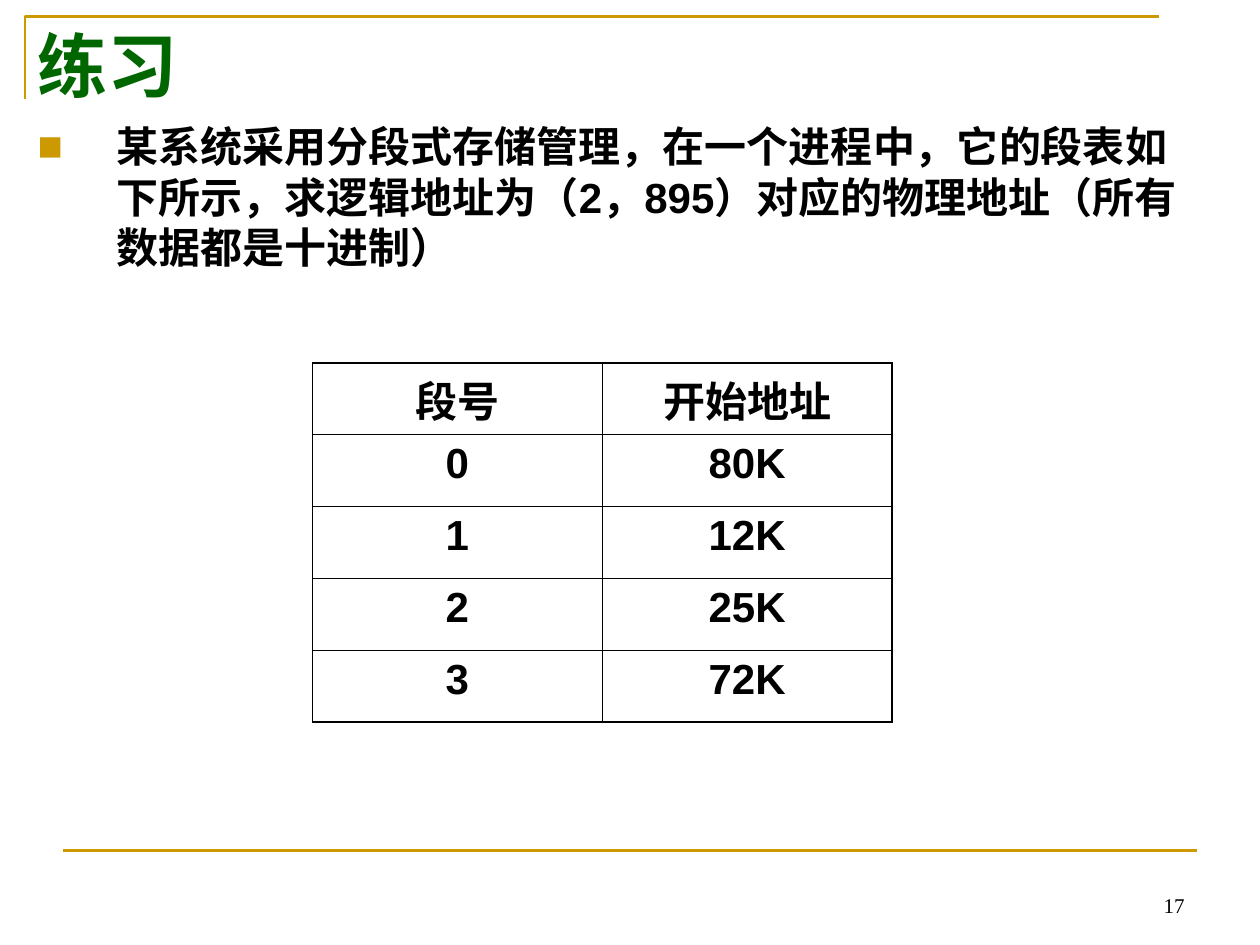
from lxml import etree
from pptx import Presentation
from pptx.dml.color import RGBColor
from pptx.enum import shapes, text
from pptx.oxml import ns
from pptx.util import Inches, Pt

GOLD = "CC9900"
BLACK = "000000"


def rgb(value):
    return RGBColor.from_string(value)


def write(tf, content, size, font, color, bold, align):
    tf.word_wrap = True
    p = tf.paragraphs[0]
    p.text = content
    p.alignment = align
    f = p.runs[0].font
    f.size, f.name, f.bold = Pt(size), font, bold
    f.color.rgb = rgb(color)
    return p


prs = Presentation()
prs.slide_width, prs.slide_height = Inches(10), Inches(7.5)
s = prs.slides.add_slide(prs.slide_layouts[6])

fb = s.shapes.build_freeform(Inches(0.2), Inches(0.79))
fb.add_line_segments([(Inches(0.2), Inches(0.13)), (Inches(9.2), Inches(0.13))], close=False)
corner = fb.convert_to_shape()
corner.fill.background()
corner.shadow.inherit = False
rule = s.shapes.add_connector(
    shapes.MSO_CONNECTOR.STRAIGHT, Inches(0.5), Inches(6.75), Inches(9.5), Inches(6.75)
)
etree.SubElement(rule._element.spPr, ns.qn("a:effectLst"))
for sp in (corner, rule):
    sp.line.color.rgb = rgb(GOLD)
    sp.line.width = Pt(1.5)

number = s.shapes.add_textbox(Inches(7.17), Inches(6.83), Inches(2.33), Inches(0.5))
number.text_frame.vertical_anchor = text.MSO_ANCHOR.BOTTOM
write(number.text_frame, "17", 12, "Times New Roman", BLACK, False, text.PP_ALIGN.RIGHT)

title = s.shapes.add_textbox(Inches(0.2), Inches(0.13), Inches(9), Inches(0.71))
write(title.text_frame, "练习", 40, "Times New Roman", "006600", True, text.PP_ALIGN.LEFT)

body = s.shapes.add_textbox(Inches(0.2), Inches(0.91), Inches(9.29), Inches(1.65))
question = (
    "某系统采用分段式存储管理，在一个进程中，它的段表如下所示，"
    "求逻辑地址为（2，895）对应的物理地址（所有数据都是十进制）"
)
p = write(body.text_frame, question, 24, "Arial", BLACK, True, text.PP_ALIGN.LEFT)
p.space_before = Pt(6)
pPr = p._p.get_or_add_pPr()
pPr.set("marL", str(Inches(0.63)))
pPr.set("indent", str(-Inches(0.63)))
bullet_color = etree.SubElement(pPr, ns.qn("a:buClr"))
etree.SubElement(bullet_color, ns.qn("a:srgbClr"), val=GOLD)
etree.SubElement(pPr, ns.qn("a:buFont"), typeface="Arial")
etree.SubElement(pPr, ns.qn("a:buChar"), char="■")

rows = [("段号", "开始地址"), ("0", "80K"), ("1", "12K"), ("2", "25K"), ("3", "72K")]
table = s.shapes.add_table(
    len(rows), 2, Inches(2.48), Inches(2.88), Inches(4.6), Inches(2.85)
).table
table.first_row = table.horz_banding = False
for row in table.rows:
    row.height = Inches(0.57)
for i, values in enumerate(rows):
    for j, value in enumerate(values):
        cell = table.cell(i, j)
        p = write(cell.text_frame, value, 24, "Arial", BLACK, True, text.PP_ALIGN.CENTER)
        p.space_before = Pt(6)
        outer = {"L": j == 0, "R": j == 1, "T": i == 0, "B": i == len(rows) - 1}
        tcPr = cell._tc.get_or_add_tcPr()
        for side, is_outer in outer.items():
            width = Pt(1.08 if is_outer else 0.45)
            ln = etree.SubElement(tcPr, ns.qn(f"a:ln{side}"), w=str(width))
            fill = etree.SubElement(ln, ns.qn("a:solidFill"))
            etree.SubElement(fill, ns.qn("a:srgbClr"), val=BLACK)
        cell.fill.background()

prs.save("out.pptx")
